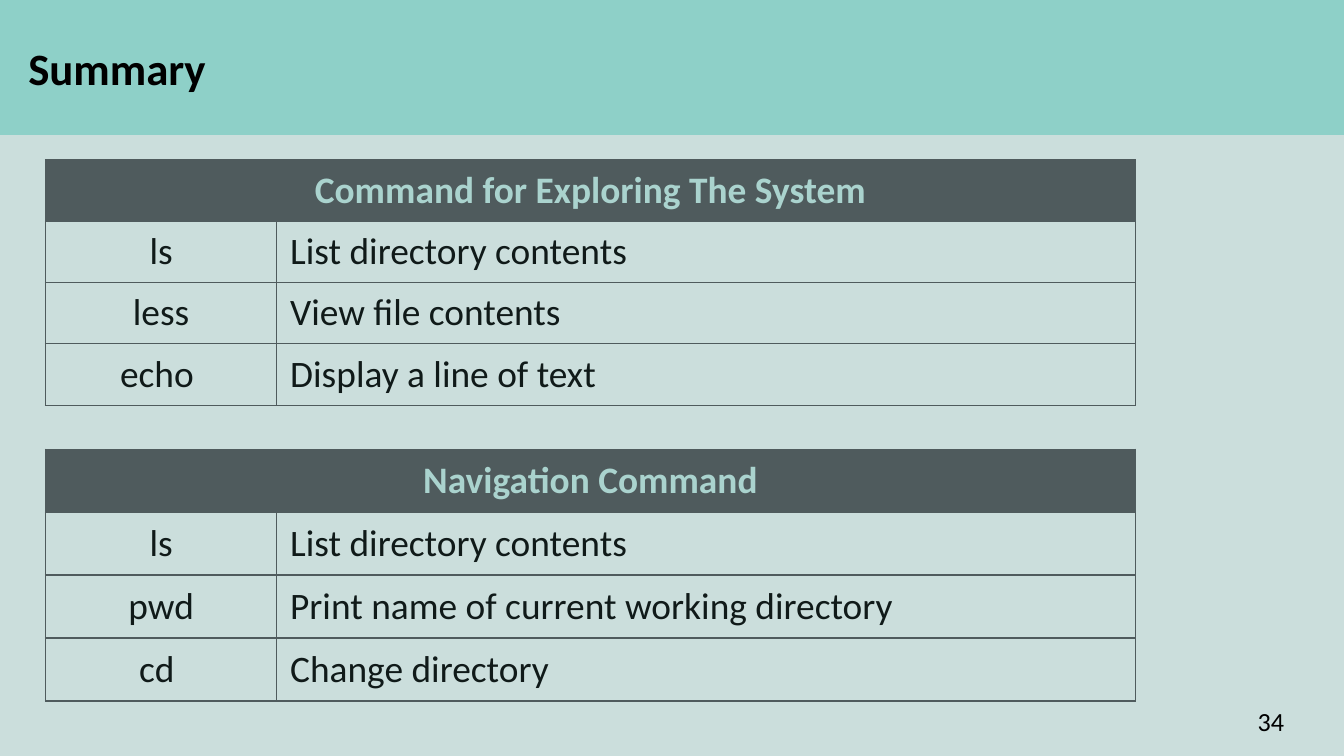
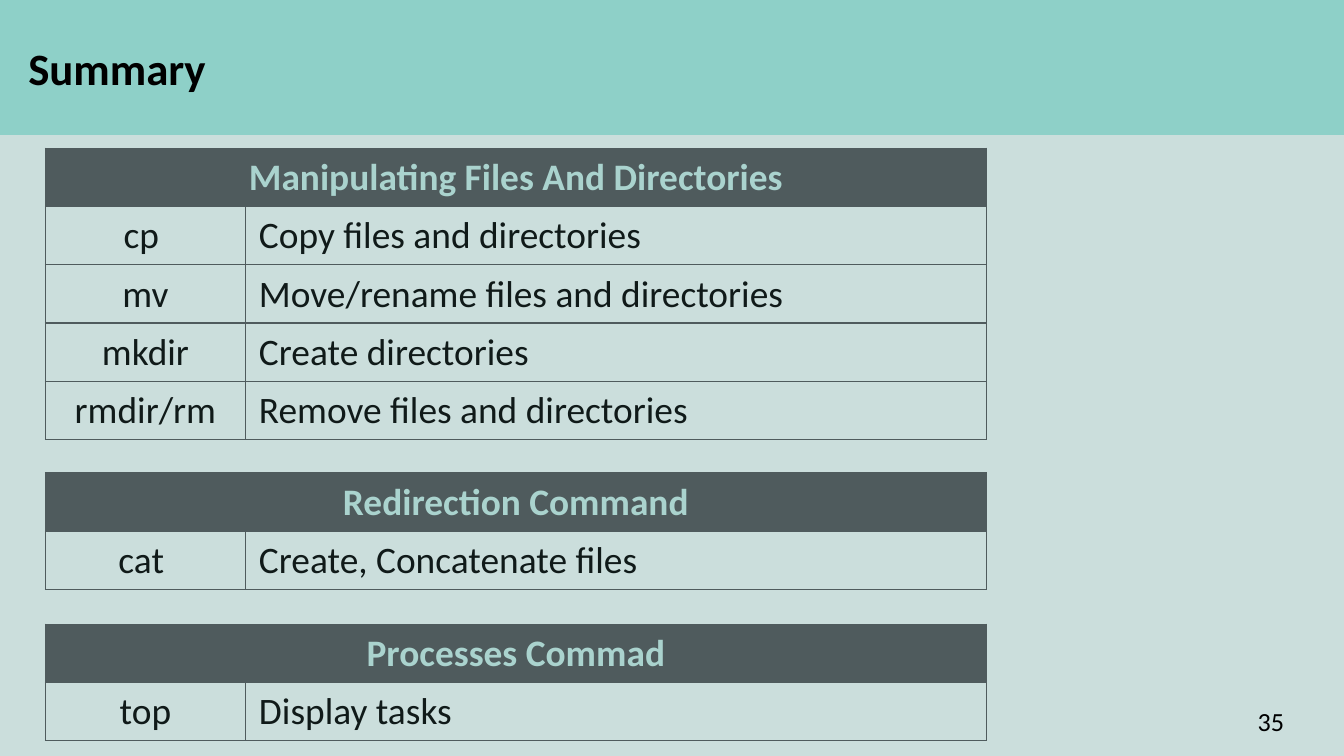
"""Build two summary slides of shell commands."""
from dataclasses import dataclass

from lxml import etree
from pptx import Presentation
from pptx.dml.color import RGBColor
from pptx.enum.shapes import MSO_SHAPE
from pptx.enum.text import MSO_ANCHOR, MSO_AUTO_SIZE, PP_ALIGN
from pptx.oxml.ns import qn
from pptx.util import Cm, Pt

RECTANGLE = MSO_SHAPE.RECTANGLE
TOP, MIDDLE = MSO_ANCHOR.TOP, MSO_ANCHOR.MIDDLE
GROW = MSO_AUTO_SIZE.SHAPE_TO_FIT_TEXT
LEFT, CENTER, JUSTIFY = PP_ALIGN.LEFT, PP_ALIGN.CENTER, PP_ALIGN.JUSTIFY
TITLE_ONLY = 5


@dataclass(frozen=True)
class Theme:
    """Hold the colours, font and type sizes of the deck."""
    font: str = "Calibri"
    background: str = "CBDEDC"
    band: str = "8ED0C8"
    black: str = "000000"
    slate: str = "4F5B5D"
    mint: str = "AAD3CE"
    ink: str = "101A19"
    title_size: int = 24
    table_size: int = 20
    number_size: int = 14
    border_width: float = 0.75


THEME = Theme()

SUMMARIES = [
    {
        "number": "34",
        "columns": (4.37, 16.23),
        "tables": [
            (3.02, 1.16, "Command for Exploring The System", [
                ("ls", "List directory contents"),
                ("less", "View file contents"),
                ("echo ", "Display a line of text"),
            ]),
            (8.49, 1.19, "Navigation Command", [
                ("ls", "List directory contents"),
                ("pwd", "Print name of current working directory"),
                ("cd ", "Change directory"),
            ]),
        ],
    },
    {
        "number": "35",
        "columns": (3.78, 14),
        "tables": [
            (2.8, 1.1, "Manipulating Files And Directories", [
                ("cp ", "Copy files and directories"),
                ("mv", "Move/rename files and directories"),
                ("mkdir", "Create directories"),
                ("rmdir/rm", "Remove files and directories"),
            ]),
            (8.94, 1.1, "Redirection Command", [
                ("cat ", "Create, Concatenate files"),
            ]),
            (11.8, 1.1, "Processes Commad", [
                ("top", "Display tasks"),
            ]),
        ],
    },
]


def paint(fill, color):
    """Make a fill solid in one colour."""
    fill.solid()
    fill.fore_color.rgb = RGBColor.from_string(color)


def write(frame, text, size, color, bold=False, align=LEFT):
    """Write one formatted run into the first paragraph of a frame."""
    para = frame.paragraphs[0]
    para.alignment = align
    span = para.add_run()
    span.text = text
    span.font.name = THEME.font
    span.font.size = Pt(size)
    span.font.bold = bold
    span.font.color.rgb = RGBColor.from_string(color)


def place(box, left, top, width, height):
    """Set the position and size of a box."""
    box.left, box.top = Cm(left), Cm(top)
    box.width, box.height = Cm(width), Cm(height)


def add_band(page):
    """Add the title band behind everything else on a page."""
    band = page.shapes.add_shape(RECTANGLE, Cm(-0.08), 0, Cm(25.53), Cm(2.55))
    band.shadow.inherit = False
    paint(band.fill, THEME.band)
    band.line.fill.background()
    page.shapes.element.insert(2, band.element)


def set_title(page, text):
    """Place and format the title placeholder."""
    title = page.shapes.title
    place(title, 0.28, 0.64, 25.1, 1.27)
    frame = title.text_frame
    frame.vertical_anchor = TOP
    frame.auto_size = GROW
    write(frame, text, THEME.title_size, THEME.black, bold=True)


def add_number(page, number):
    """Add the page number at the lower right."""
    box = page.shapes.add_textbox(Cm(23.52), Cm(13.21), Cm(1.6), Cm(0.86))
    frame = box.text_frame
    frame.word_wrap = True
    frame.auto_size = GROW
    write(frame, number, THEME.number_size, THEME.black)


def set_borders(cell):
    """Draw all four borders of a cell."""
    properties = cell._tc.get_or_add_tcPr()
    for index, side in enumerate(("a:lnL", "a:lnR", "a:lnT", "a:lnB")):
        line = etree.Element(qn(side), w=str(Pt(THEME.border_width)))
        fill = etree.SubElement(line, qn("a:solidFill"))
        etree.SubElement(fill, qn("a:srgbClr"), val=THEME.slate)
        properties.insert(index, line)


def add_command_table(page, columns, top, row_height, heading, commands):
    """Add a table with a merged heading above command rows."""
    count = len(commands) + 1
    holder = page.shapes.add_table(count, len(columns), Cm(0.86), Cm(top),
                                   Cm(sum(columns)), Cm(row_height * count))
    table = holder.table
    table.first_row = table.horz_banding = False
    for column, width in zip(table.columns, columns):
        column.width = Cm(width)
    for row in table.rows:
        row.height = Cm(row_height)
        for cell in row.cells:
            cell.vertical_anchor = MIDDLE
            cell.fill.background()
            set_borders(cell)
    header = table.cell(0, 0)
    for cell in table.rows[0].cells:
        paint(cell.fill, THEME.slate)
    header.merge(table.cell(0, 1))
    write(header.text_frame, heading, THEME.table_size, THEME.mint, True, CENTER)
    for row, texts in enumerate(commands, start=1):
        for column, (text, align) in enumerate(zip(texts, (CENTER, JUSTIFY))):
            write(table.cell(row, column).text_frame, text, THEME.table_size,
                  THEME.ink, align=align)


def add_summary(deck, summary):
    """Add one summary page with its tables and number."""
    page = deck.slides.add_slide(deck.slide_layouts[TITLE_ONLY])
    add_band(page)
    set_title(page, "Summary")
    for table in summary["tables"]:
        add_command_table(page, summary["columns"], *table)
    add_number(page, summary["number"])


def main():
    """Build and save the deck."""
    deck = Presentation()
    deck.slide_width, deck.slide_height = Cm(25.4), Cm(14.29)
    paint(deck.slide_master.background.fill, THEME.background)
    for summary in SUMMARIES:
        add_summary(deck, summary)
    deck.save("out.pptx")


if __name__ == "__main__":
    main()
